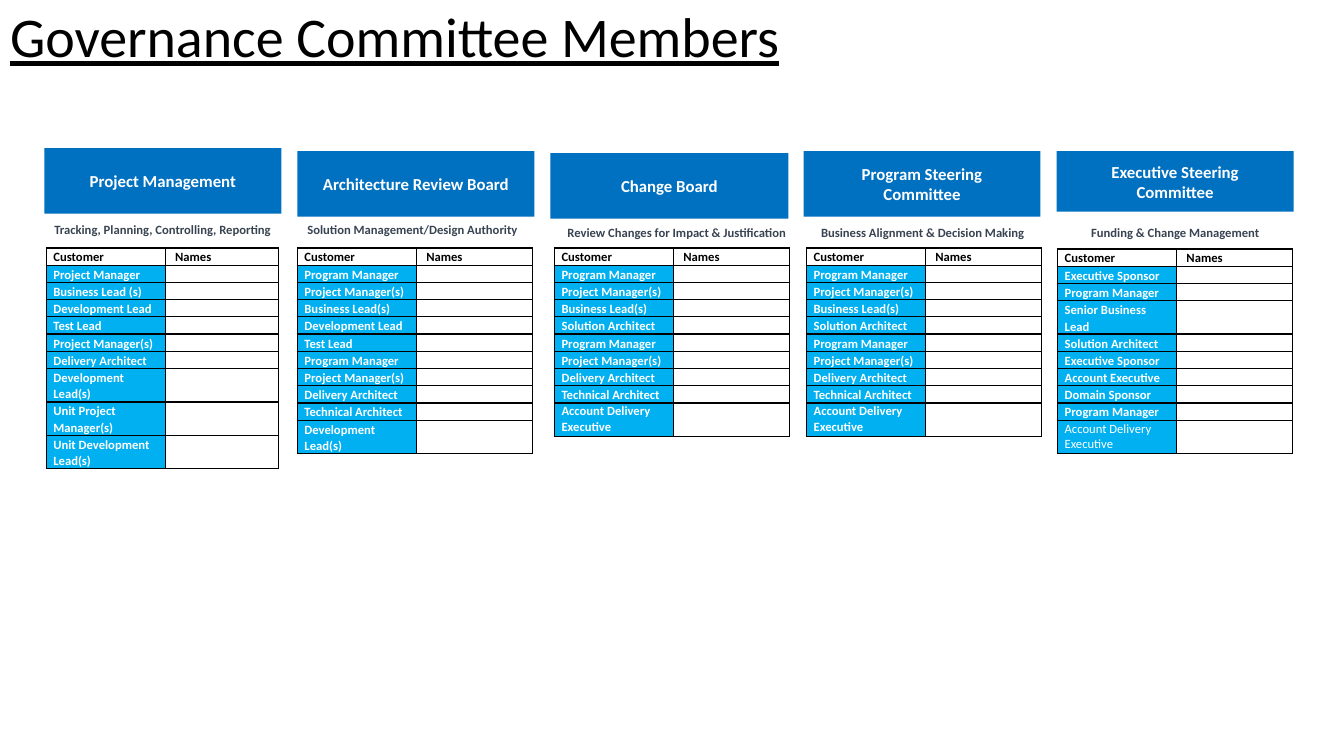
from lxml import etree
from pptx import Presentation
from pptx import util as u
from pptx.dml.color import RGBColor
from pptx.enum import shapes, text
from pptx.oxml.ns import qn

PX = 9144  # EMU per px, 100 px to the inch
BLACK = RGBColor(0x00, 0x00, 0x00)
WHITE = RGBColor(0xFF, 0xFF, 0xFF)
SLATE = RGBColor(0x39, 0x44, 0x52)
BLUE = RGBColor(0x00, 0x70, 0xC0)
SKY = RGBColor(0x00, 0xB0, 0xF0)
LEFT, CENTER = text.PP_ALIGN.LEFT, text.PP_ALIGN.CENTER

FORMATS = {
    "title": {"size": u.Pt(40), "color": BLACK, "underline": True},
    "banner": {"size": u.Pt(12), "color": WHITE, "bold": True},
    "purpose": {"size": u.Pt(9), "color": SLATE, "bold": True},
    "header": {"size": u.Pt(9), "color": BLACK, "bold": True},
    "role": {"size": u.Pt(9), "color": WHITE, "bold": True},
    "plain role": {"size": u.Pt(9), "color": WHITE, "bold": False},
}
ROW_HEIGHT, WRAPPED_HEIGHT, ROLE_WIDTH = 17, 33, 118
ACCOUNT_ROLE = "Account Delivery Executive"
WRAPPED_ROLES = {"Development Lead(s)", "Unit Project Manager(s)", "Unit Development Lead(s)",
                 "Senior Business Lead", ACCOUNT_ROLE}
BOARD_ROLES = ["Program Manager", "Project Manager(s)", "Business Lead(s)",
               "Solution Architect", "Program Manager", "Project Manager(s)",
               "Delivery Architect", "Technical Architect", ACCOUNT_ROLE]

# Boxes are left, top, width, height; table boxes are left, top, width
COMMITTEES = [
    {"name": "Project Management", "banner": (44, 147, 235, 65),
     "purpose": "Tracking, Planning, Controlling, Reporting",
     "purpose box": (44, 215, 239, 25), "align": LEFT, "table": (46, 246, 230),
     "roles": ["Project Manager", "Business Lead (s)", "Development Lead", "Test Lead",
               "Project Manager(s)", "Delivery Architect", "Development Lead(s)",
               "Unit Project Manager(s)", "Unit Development Lead(s)"]},
    {"name": "Architecture Review Board", "banner": (295, 150, 235, 65),
     "purpose": "Solution Management/Design Authority",
     "purpose box": (295, 215, 230, 25), "align": LEFT, "table": (295, 246, 233),
     "roles": ["Program Manager", "Project Manager(s)", "Business Lead(s)",
               "Development Lead", "Test Lead", "Program Manager", "Project Manager(s)",
               "Delivery Architect", "Technical Architect", "Development Lead(s)"]},
    {"name": "Change Board", "banner": (546, 152, 236, 65),
     "purpose": "Review Changes for Impact & Justification",
     "purpose box": (553, 218, 273, 25), "align": LEFT, "table": (550, 246, 233),
     "roles": BOARD_ROLES},
    {"name": "Program Steering Committee", "banner": (797, 150, 235, 65),
     "purpose": "Business Alignment & Decision Making",
     "purpose box": (803, 218, 224, 25), "align": CENTER, "table": (800, 246, 233),
     "roles": BOARD_ROLES},
    {"name": "Executive Steering Committee", "banner": (1048, 150, 235, 60),
     "purpose": "Funding & Change Management",
     "purpose box": (1048, 218, 235, 25), "align": CENTER, "table": (1049, 247, 233),
     "roles": ["Executive Sponsor", "Program Manager", "Senior Business Lead",
               "Solution Architect", "Executive Sponsor", "Account Executive",
               "Domain Sponsor", "Program Manager", ACCOUNT_ROLE]},
]


def write(frame, words, style, align=LEFT, spacing=1.0):
    frame.word_wrap = True
    paragraph = frame.paragraphs[0]
    paragraph.alignment, paragraph.line_spacing = align, spacing
    run = paragraph.add_run()
    run.text = words
    run.font.name = "Calibri"
    for key, value in FORMATS[style].items():
        if key == "color":
            run.font.color.rgb = value
        else:
            setattr(run.font, key, value)


def frame_cell(cell):
    margins = {"margin_left": 7, "margin_right": 7, "margin_top": 1, "margin_bottom": 0}
    for side, value in margins.items():
        setattr(cell, side, value * PX)
    properties = cell._tc.get_or_add_tcPr()
    for edge in ("a:lnL", "a:lnR", "a:lnT", "a:lnB"):
        line = etree.SubElement(properties, qn(edge), w=str(u.Pt(1)))
        fill = etree.SubElement(line, qn("a:solidFill"))
        etree.SubElement(fill, qn("a:srgbClr"), val=str(BLACK))


presentation = Presentation()
presentation.slide_width, presentation.slide_height = u.Inches(13.33), u.Inches(7.5)
slide = presentation.slides.add_slide(presentation.slide_layouts[5])

# Title
title = slide.shapes.title
title.left, title.top, title.width, title.height = 0, 0, 1155 * PX, 79 * PX
title.text_frame.vertical_anchor = text.MSO_ANCHOR.MIDDLE
write(title.text_frame, "Governance Committee Members", "title", spacing=0.9)

for committee in COMMITTEES:
    # Banner
    banner = slide.shapes.add_shape(shapes.MSO_SHAPE.RECTANGLE,
                                    *(value * PX for value in committee["banner"]))
    banner.shadow.inherit = False
    banner.fill.solid()
    banner.fill.fore_color.rgb = BLUE
    banner.line.fill.background()
    frame = banner.text_frame
    frame.vertical_anchor = text.MSO_ANCHOR.MIDDLE
    for side in ("left", "right", "top", "bottom"):
        setattr(frame, f"margin_{side}", 20 * PX)
    write(frame, committee["name"], "banner", CENTER)

    # Purpose
    purpose = slide.shapes.add_textbox(*(value * PX for value in committee["purpose box"]))
    write(purpose.text_frame, committee["purpose"], "purpose", committee["align"])

    # Members table
    roles = committee["roles"]
    heights = [ROW_HEIGHT] + [WRAPPED_HEIGHT if role in WRAPPED_ROLES else ROW_HEIGHT
                              for role in roles]
    left, top, width = committee["table"]
    table = slide.shapes.add_table(len(heights), 2, left * PX, top * PX,
                                   width * PX, sum(heights) * PX).table
    table.first_row = table.horz_banding = False
    table.columns[0].width = ROLE_WIDTH * PX
    table.columns[1].width = (width - ROLE_WIDTH) * PX
    for row, height in zip(table.rows, heights):
        row.height = height * PX
    for cell in table.iter_cells():
        frame_cell(cell)
        cell.fill.background()
    write(table.cell(0, 0).text_frame, "Customer", "header", spacing=1.07)
    write(table.cell(0, 1).text_frame, " Names", "header", spacing=1.07)
    for number, role in enumerate(roles, 1):
        cell = table.cell(number, 0)
        cell.fill.solid()
        cell.fill.fore_color.rgb = SKY
        is_account = role == ACCOUNT_ROLE
        style = "plain role" if is_account and committee is COMMITTEES[-1] else "role"
        write(cell.text_frame, role, style, spacing=1.0 if is_account else 1.07)
        # Keep the blank name cell as low as its row
        blank = table.cell(number, 1).text_frame.paragraphs[0]
        etree.SubElement(blank._p, qn("a:endParaRPr"), sz="900")

presentation.save("out.pptx")
